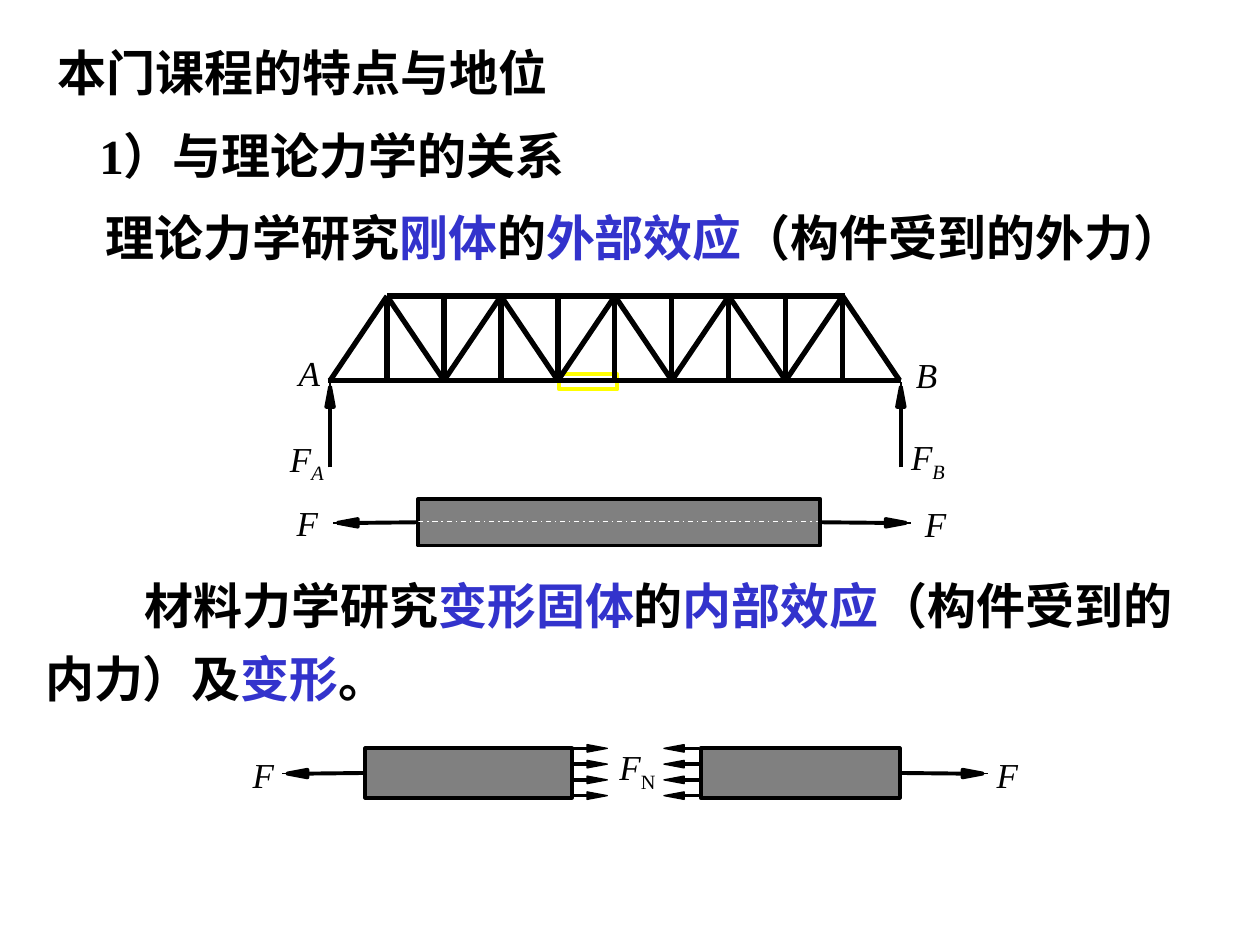
from lxml.etree import SubElement
from pptx import Presentation
from pptx.dml.color import RGBColor
from pptx.enum.dml import MSO_LINE
from pptx.enum.shapes import MSO_CONNECTOR, MSO_SHAPE
from pptx.enum.text import PP_ALIGN
from pptx.oxml.ns import qn
from pptx.util import Inches, Pt

BLACK = RGBColor(0x00, 0x00, 0x00)
WHITE = RGBColor(0xFF, 0xFF, 0xFF)
GREY = RGBColor(0x80, 0x80, 0x80)
BLUE = RGBColor(0x33, 0x33, 0xCC)
YELLOW = RGBColor(0xFF, 0xFF, 0x00)
LATIN, CJK = "Times New Roman", "Noto Sans CJK SC"
LEFT, RIGHT = 1, 3
HEAD_LENGTH, HEAD_HALF, TIP = 0.16, 0.03, 0.04


class SlideBuilder:
    def __init__(self, slide):
        self.shapes = slide.shapes

    def text_frame(self, x, y, w, h, wrap):
        tf = self.shapes.add_textbox(Inches(x), Inches(y), Inches(w), Inches(h)).text_frame
        tf.word_wrap = wrap
        return tf

    def run(self, p, text, size, font=LATIN, color=BLACK):
        r = p.add_run()
        r.text = text
        r.font.size = Pt(size)
        r.font.name = font
        r.font.color.rgb = color
        SubElement(r.font._element, qn("a:ea"), typeface=CJK)
        return r

    def sentence(self, x, y, w, *parts, wrap=True):
        """Bold line of (text, font, colour) parts."""
        p = self.text_frame(x, y, w, 0.57, wrap).paragraphs[0]
        for text, font, color in parts:
            self.run(p, text, 28, font, color).font.bold = True

    def symbol(self, x, y, w, text, sub="", sub_italic=True, wrap=True):
        """Centred italic letter with an optional subscript."""
        p = self.text_frame(x, y, w, 0.48 if sub else 0.44, wrap).paragraphs[0]
        p.alignment = PP_ALIGN.CENTER
        self.run(p, text, 20).font.italic = True
        if sub:
            r = self.run(p, sub, 20)
            r.font.italic = sub_italic
            r.font._element.set("baseline", "-25000")

    def rect(self, x, y, w, h, fill=None, line=BLACK):
        sp = self.shapes.add_shape(MSO_SHAPE.RECTANGLE, Inches(x), Inches(y), Inches(w), Inches(h))
        sp.shadow.inherit = False
        if fill is None:
            sp.fill.background()
        else:
            sp.fill.solid()
            sp.fill.fore_color.rgb = fill
        sp.line.color.rgb = line
        sp.line.width = Pt(2.25)
        return sp

    def line(self, start, end, width, color=BLACK, dash=None):
        points = [Inches(v) for v in (*start, *end)]
        cxn = self.shapes.add_connector(MSO_CONNECTOR.STRAIGHT, *points)
        cxn.line.color.rgb = color
        cxn.line.width = Pt(width)
        if dash:
            cxn.line.dash_style = dash
        SubElement(cxn._element.spPr, qn("a:effectLst"))
        return cxn

    def arrow(self, tail, tip, width=2.25, head_width=2.25):
        """Level or upright shaft with a slim filled head; returns the shaft."""
        dx, dy = tip[0] - tail[0], tip[1] - tail[1]
        length = abs(dx) + abs(dy)
        ux, uy = dx / length, dy / length
        base = tip[0] - ux * HEAD_LENGTH, tip[1] - uy * HEAD_LENGTH
        shaft = self.line(tail, base, width)
        across = uy * HEAD_HALF, ux * HEAD_HALF
        corners = [(base[0] - across[0], base[1] - across[1]),
                   (base[0] + across[0], base[1] + across[1]), tip]
        points = [(Inches(x), Inches(y)) for x, y in corners]
        fb = self.shapes.build_freeform(*points[0], scale=1.0)
        fb.add_line_segments(points[1:], close=True)
        head = fb.convert_to_shape()
        head.shadow.inherit = False
        head.fill.solid()
        head.fill.fore_color.rgb = BLACK
        head.line.color.rgb = BLACK
        head.line.width = Pt(head_width)
        return shaft

    def pull(self, bar, side, y, tip_x):
        """Force pulling outward from the middle of a bar's end."""
        tail_x = (bar.left if side == LEFT else bar.left + bar.width) / Inches(1)
        self.arrow((tail_x, y), (tip_x, y)).begin_connect(bar, side)
        outward = -TIP if side == LEFT else TIP
        self.line((tip_x, y), (tip_x + outward, y), 0.75)

    def truss(self, left, right, top, bottom, panels):
        step = (right - left) / panels
        xs = [left + i * step for i in range(panels + 1)]
        self.line((xs[1], top), (xs[-2] + 0.02, top), 3)
        self.line((left - 0.02, bottom), (right + 0.01, bottom), 3)
        for x in xs[1:-1]:
            self.line((x, top), (x, bottom), 3)
        for i in range(panels):
            ends = (bottom, top) if i % 2 == 0 else (top, bottom)
            self.line((xs[i], ends[0]), (xs[i + 1], ends[1]), 3)


def main():
    prs = Presentation()
    prs.slide_width, prs.slide_height = Inches(10), Inches(7.5)
    s = SlideBuilder(prs.slides.add_slide(prs.slide_layouts[6]))

    s.sentence(0.36, 0.29, 4.79, ("本门课程的特点与地位", CJK, BLACK))
    s.sentence(0.69, 0.95, 4.01, ("1）", LATIN, BLACK), ("与理论力学的关系", CJK, BLACK))
    s.sentence(0.74, 1.6, 8.91, ("理论力学研究", LATIN, BLACK), ("刚体", LATIN, BLUE),
               ("的", LATIN, BLACK), ("外部效应", LATIN, BLUE),
               ("（构件受到的外力）", LATIN, BLACK))
    s.sentence(1.05, 4.52, 8.7, ("材料力学研究", LATIN, BLACK), ("变形固体", LATIN, BLUE),
               ("的", LATIN, BLACK), ("内部效应", LATIN, BLUE), ("（构件受到的", LATIN, BLACK))
    s.sentence(0.26, 5.1, 2.92, ("内力）及", LATIN, BLACK), ("变形", LATIN, BLUE),
               ("。", LATIN, BLACK), wrap=False)

    # Truss with support reactions
    s.rect(4.44, 2.97, 0.46, 0.12, line=YELLOW)
    s.truss(2.62, 7.14, 2.35, 3.02, 10)
    for x in (2.62, 7.15):
        s.arrow((x, 3.71), (x, 3.07))
        s.line((x, 3.07), (x, 3.07 - TIP), 0.75)
    s.symbol(2.27, 2.74, 0.37, "A", wrap=False)
    s.symbol(7.17, 2.76, 0.37, "B", wrap=False)
    s.symbol(2.2, 3.42, 0.47, "F", "A", wrap=False)
    s.symbol(7.13, 3.41, 0.47, "F", "B", wrap=False)

    # Whole bar in tension
    bar = s.rect(3.32, 3.96, 3.19, 0.37, GREY)
    s.line((3.32, 4.14), (6.49, 4.14), 0.75, WHITE, MSO_LINE.DASH_DOT)
    s.pull(bar, LEFT, 4.15, 2.68)
    s.pull(bar, RIGHT, 4.15, 7.19)
    s.symbol(2.13, 3.93, 0.62, "F")
    s.symbol(7.1, 3.94, 0.65, "F")

    # Bar cut in two, with internal forces on both faces
    left_part = s.rect(2.9, 5.94, 1.64, 0.39, GREY)
    right_part = s.rect(5.56, 5.94, 1.58, 0.39, GREY)
    s.pull(left_part, LEFT, 6.14, 2.28)
    s.pull(right_part, RIGHT, 6.14, 7.8)
    s.symbol(1.78, 5.93, 0.62, "F")
    s.symbol(7.67, 5.93, 0.65, "F")
    for i in range(4):
        y = 5.94 + i * 0.125
        s.arrow((4.54, y), (4.82, y), 0, 0.75)
        s.arrow((5.55, y), (5.27, y), 0, 0.75)
    s.symbol(4.75, 5.87, 0.62, "F", "N", sub_italic=False)

    prs.save("out.pptx")


if __name__ == "__main__":
    main()
